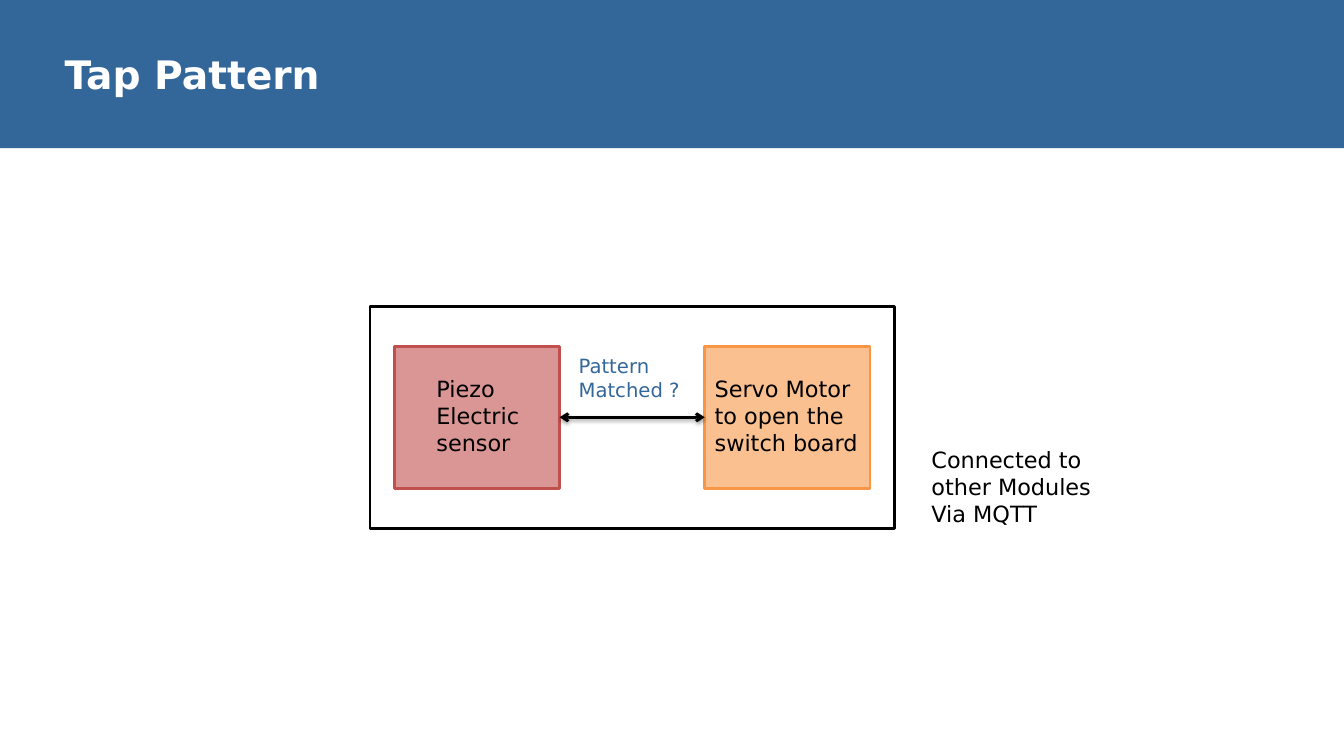
from lxml import etree
from pptx import Presentation
from pptx.dml.color import RGBColor
from pptx.enum.shapes import MSO_CONNECTOR, MSO_SHAPE
from pptx.enum.text import MSO_ANCHOR
from pptx.enum.text import PP_ALIGN as ALIGN
from pptx.oxml.ns import qn
from pptx.util import Inches, Pt

FONT = "DejaVu Sans"
COLORS = {
    "blue": "336699", "white": "FFFFFF", "black": "000000",
    "sensor": "D99694", "sensor_edge": "C0504D",
    "motor": "FAC090", "motor_edge": "F79646",
}


def rgb(name):
    return RGBColor.from_string(COLORS[name])


def add_rect(slide, left, top, width, height, fill=None, edge=None):
    rect = slide.shapes.add_shape(MSO_SHAPE.RECTANGLE, Inches(left), Inches(top),
                                  Inches(width), Inches(height))
    rect.shadow.inherit = False
    if fill:
        rect.fill.solid()
        rect.fill.fore_color.rgb = rgb(fill)
    else:
        rect.fill.background()
    if edge:
        rect.line.color.rgb = rgb(edge)
        rect.line.width = Pt(2)
    else:
        rect.line.fill.background()
    return rect


def write(frame, lines, size, color, bold=False):
    frame.word_wrap = True
    for i, line in enumerate(lines):
        paragraph = frame.add_paragraph() if i else frame.paragraphs[0]
        paragraph.text = line
        paragraph.alignment = ALIGN.LEFT
        font = paragraph.font
        font.name, font.size, font.bold = FONT, Pt(size), bold
        font.color.rgb = rgb(color)


def add_label(slide, left, top, width, height, *lines, size=16, color="black"):
    label = slide.shapes.add_textbox(Inches(left), Inches(top),
                                     Inches(width), Inches(height))
    write(label.text_frame, lines, size, color)


def add_double_arrow(slide, start, end):
    arrow = slide.shapes.add_connector(MSO_CONNECTOR.STRAIGHT, 0, 0, 0, 0)
    arrow.begin_connect(start, 3)
    arrow.end_connect(end, 1)
    arrow.line.color.rgb = rgb("black")
    arrow.line.width = Pt(2)
    for tag in ("a:headEnd", "a:tailEnd"):
        etree.SubElement(arrow.line._get_or_add_ln(), qn(tag), type="arrow")
    # Soft shadow straight below the arrow
    effects = etree.SubElement(arrow._element.spPr, qn("a:effectLst"))
    shadow = etree.SubElement(effects, qn("a:outerShdw"), blurRad=str(Pt(3.1)),
                              dist=str(Pt(1.6)), dir="5400000", rotWithShape="0")
    shade = etree.SubElement(shadow, qn("a:srgbClr"), val=COLORS["black"])
    etree.SubElement(shade, qn("a:alpha"), val="38000")


def add_title_band(slide, left, top, width, height):
    band = add_rect(slide, left, top, width, height, fill="blue")
    frame = band.text_frame
    frame.margin_left = Inches(0.64)
    frame.vertical_anchor = MSO_ANCHOR.MIDDLE
    write(frame, ["Tap Pattern"], 28, "white", bold=True)


def add_tap_module(slide, left, top, width, height):
    add_rect(slide, left, top, width, height, edge="black")

    # Sensor and motor, mirrored inside the frame
    inset, box_width, box_height = 0.24, 1.64, 1.41
    box_top = top + (height - box_height) / 2
    sensor_left = left + inset
    motor_left = left + width - inset - box_width
    sensor = add_rect(slide, sensor_left, box_top, box_width, box_height,
                      "sensor", "sensor_edge")
    motor = add_rect(slide, motor_left, box_top, box_width, box_height,
                     "motor", "motor_edge")
    label_top = box_top + 0.24
    add_label(slide, sensor_left + 0.32, label_top, box_width - 0.32, 0.91,
              "Piezo", "Electric sensor")
    add_label(slide, motor_left, label_top, box_width, 0.91,
              "Servo Motor to open the switch board")

    # Link between them
    add_double_arrow(slide, sensor, motor)
    add_label(slide, sensor_left + box_width + 0.09, box_top + 0.03, 1.26, 0.57,
              "Pattern Matched ?", size=14, color="blue")

    # Note beside the frame
    add_label(slide, left + width + 0.27, top + 1.34, 1.95, 0.91,
              "Connected to other Modules Via MQTT")


def main():
    deck = Presentation()
    deck.slide_width, deck.slide_height = Inches(13.33), Inches(7.5)
    slide = deck.slides.add_slide(deck.slide_layouts[6])
    add_title_band(slide, 0, 0, 13.33, 1.47)
    add_tap_module(slide, 3.67, 3.04, 5.2, 2.2)
    deck.save("out.pptx")


if __name__ == "__main__":
    main()
